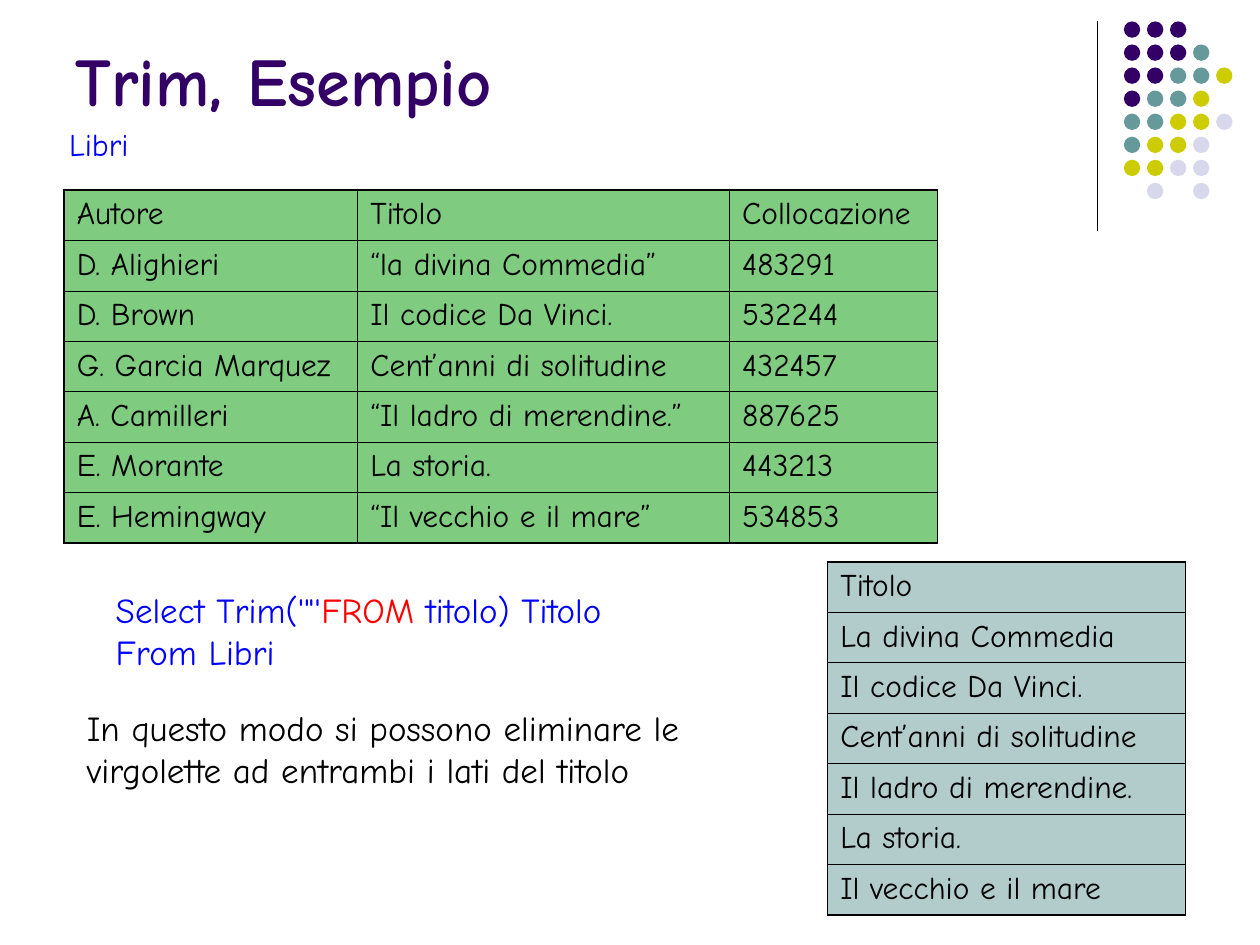
import pptx
import pptx.dml.color
import pptx.enum.shapes
import pptx.enum.text
import pptx.oxml.ns
import pptx.util
from lxml import etree
from pptx.util import Inches

FONT = "Comic Neue"
BLACK, BLUE, RED, PURPLE = "000000", "0000FF", "FF0000", "330066"
THIN, THICK = 0.45, 1.08
ROW_HEIGHT = 0.4

BOOKS = [
    ["Autore", "Titolo", "Collocazione"],
    ["D. Alighieri", "“la divina Commedia”", "483291"],
    ["D. Brown", "Il codice Da Vinci.", "532244"],
    ["G. Garcia Marquez", "Cent’anni di solitudine", "432457"],
    ["A. Camilleri", "“Il ladro di merendine.”", "887625"],
    ["E. Morante", "La storia.", "443213"],
    ["E. Hemingway", "“Il vecchio e il mare”", "534853"],
]
TRIMMED_TITLES = [
    ["Titolo"],
    ["La divina Commedia"],
    ["Il codice Da Vinci."],
    ["Cent’anni di solitudine"],
    ["Il ladro di merendine."],
    ["La storia."],
    ["Il vecchio e il mare"],
]

# One letter per dot: purple, teal, yellow, lilac; a dot means no circle
DOT_COLORS = {"P": PURPLE, "T": "669999", "Y": "CCCC00", "L": "D8D8EC"}
DOT_ROWS = ["PPP", "PPPT", "PPTTY", "PTTY", "TTYYL", "TYYL", "YYLL", ".L.L"]


def rgb(color):
    return pptx.dml.color.RGBColor.from_string(color)


def add_xml(parent, tag, **attributes):
    return etree.SubElement(parent, pptx.oxml.ns.qn(tag), attributes)


def format_run(run, size, color, bold=False):
    run.font.name = FONT
    run.font.size = pptx.util.Pt(size)
    run.font.bold = bold
    run.font.color.rgb = rgb(color)


def add_title(slide, text):
    title = slide.shapes.title
    title.left, title.top = Inches(0.5), Inches(-0.42)
    title.width, title.height = Inches(8.25), Inches(1.42)
    frame = title.text_frame
    frame.text = text
    frame.vertical_anchor = pptx.enum.text.MSO_ANCHOR.BOTTOM
    frame.auto_size = pptx.enum.text.MSO_AUTO_SIZE.NONE
    paragraph = frame.paragraphs[0]
    paragraph.alignment = pptx.enum.text.PP_ALIGN.LEFT
    format_run(paragraph.runs[0], 39, PURPLE, bold=True)


def add_text(slide, left, top, width, height, lines, size, wrap=False):
    """Each line is a list of (text, color) pieces."""
    box = slide.shapes.add_textbox(
        Inches(left), Inches(top), Inches(width), Inches(height))
    frame = box.text_frame
    frame.word_wrap = wrap
    for index, pieces in enumerate(lines):
        paragraph = frame.add_paragraph() if index else frame.paragraphs[0]
        for text, color in pieces:
            run = paragraph.add_run()
            run.text = text
            format_run(run, size, color)


def style_cell(cell, fill, borders):
    # Borders come before the fill in the cell properties
    properties = cell._tc.get_or_add_tcPr()
    for side, width in borders.items():
        line = add_xml(properties, f"a:ln{side}", w=str(pptx.util.Pt(width)))
        add_xml(add_xml(line, "a:solidFill"), "a:srgbClr", val=BLACK)
    cell.fill.solid()
    cell.fill.fore_color.rgb = rgb(fill)
    fill_color = properties.find(pptx.oxml.ns.qn("a:solidFill"))[0]
    add_xml(fill_color, "a:alpha", val="50000")


def add_table(slide, left, top, column_widths, rows, fill, side_border):
    last_row, last_column = len(rows) - 1, len(column_widths) - 1
    table = slide.shapes.add_table(
        len(rows), len(column_widths), Inches(left), Inches(top),
        Inches(sum(column_widths)), Inches(ROW_HEIGHT * len(rows))).table
    for column, width in zip(table.columns, column_widths):
        column.width = Inches(width)
    for row_index, row in enumerate(rows):
        table.rows[row_index].height = Inches(ROW_HEIGHT)
        for column_index, text in enumerate(row):
            cell = table.cell(row_index, column_index)
            cell.text_frame.text = text
            format_run(cell.text_frame.paragraphs[0].runs[0], 18, BLACK)
            style_cell(cell, fill, {
                "L": side_border if column_index == 0 else THIN,
                "R": side_border if column_index == last_column else THIN,
                "T": THICK if row_index == 0 else THIN,
                "B": THICK if row_index == last_row else THIN,
            })


def add_divider(slide):
    line = slide.shapes.add_connector(
        pptx.enum.shapes.MSO_CONNECTOR.STRAIGHT,
        Inches(8.71), Inches(0.17), Inches(8.71), Inches(1.83))
    line.line.color.rgb = rgb(BLACK)
    line.line.width = pptx.util.Pt(0.75)
    add_xml(line._element.spPr, "a:effectLst")


def add_dots(slide):
    left, top, pitch, diameter = 8.92, 0.17, 0.183, 0.13
    group = slide.shapes.add_group_shape()
    for row_index, row in enumerate(DOT_ROWS):
        for column_index, letter in enumerate(row):
            if letter not in DOT_COLORS:
                continue
            dot = group.shapes.add_shape(
                pptx.enum.shapes.MSO_SHAPE.OVAL,
                Inches(left + column_index * pitch),
                Inches(top + row_index * pitch),
                Inches(diameter), Inches(diameter))
            dot.shadow.inherit = False
            dot.fill.solid()
            dot.fill.fore_color.rgb = rgb(DOT_COLORS[letter])
            dot.line.fill.background()


def main():
    presentation = pptx.Presentation()
    presentation.slide_width = Inches(10)
    presentation.slide_height = Inches(7.5)
    slide = presentation.slides.add_slide(presentation.slide_layouts[5])

    # Corner decoration
    add_divider(slide)
    add_dots(slide)

    # Title and source table
    add_title(slide, "Trim, Esempio")
    add_table(slide, 0.51, 1.51, [2.33, 2.95, 1.65], BOOKS, "009900", THICK)

    # Query and its result
    add_text(slide, 0.82, 4.62, 4.07, 0.77, [
        [("Select Trim('\"'", BLUE), ("FROM", RED), (" titolo) Titolo", BLUE)],
        [("From Libri", BLUE)],
    ], 20)
    add_table(slide, 6.57, 4.46, [2.84], TRIMMED_TITLES, "669999", THIN)

    # Table name and explanation
    add_text(slide, 0.45, 0.94, 0.67, 0.4, [[("Libri", BLUE)]], 18)
    add_text(slide, 0.59, 5.56, 5.69, 0.77, [[(
        "In questo modo si possono eliminare le virgolette "
        "ad entrambi i lati del titolo", BLACK)]], 20, wrap=True)

    presentation.save("out.pptx")


if __name__ == "__main__":
    main()
